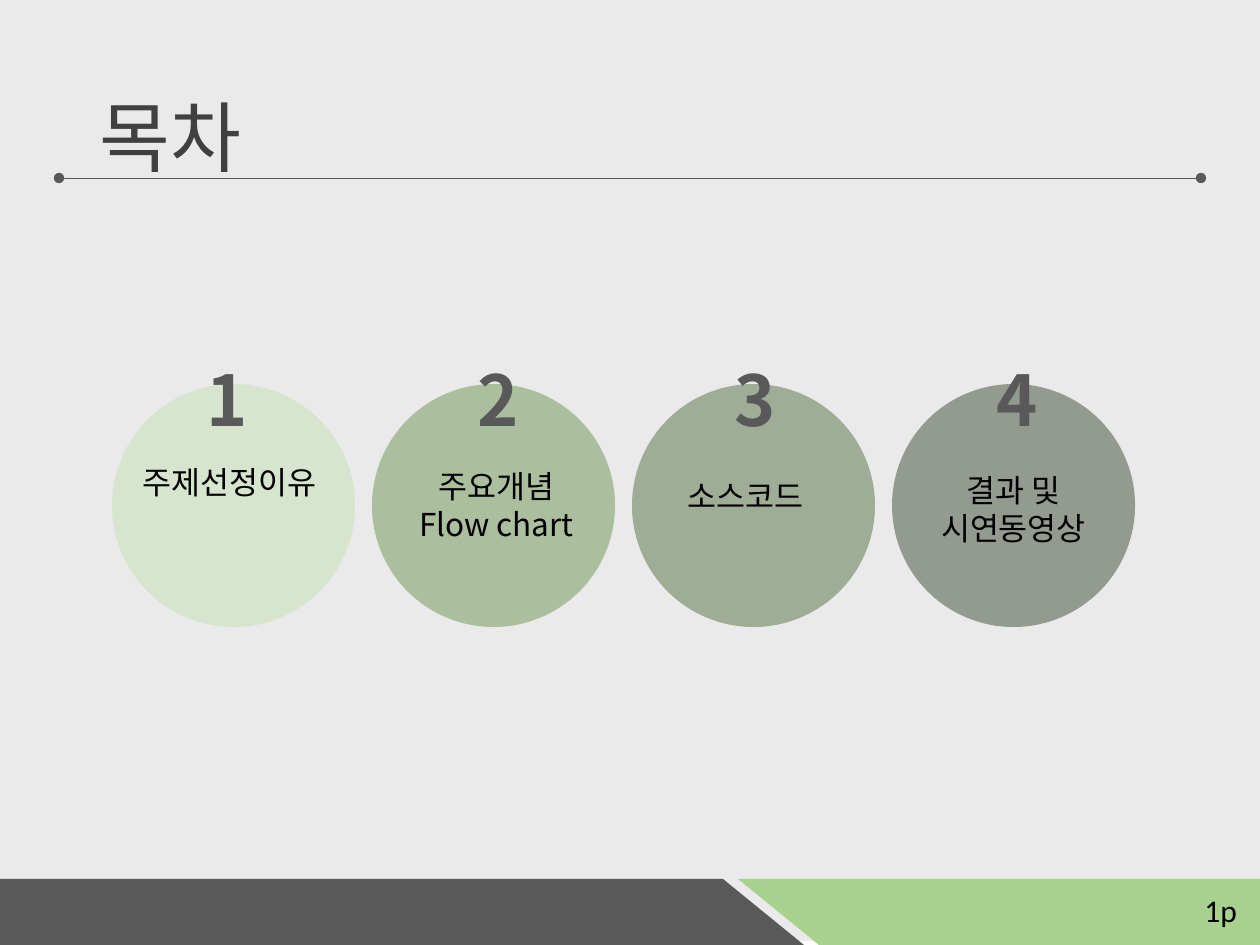
"""Build the contents slide: four numbered topic circles above a two-tone footer."""
from dataclasses import dataclass

import pptx
import pptx.dml.color
import pptx.enum.shapes
import pptx.enum.text
import pptx.oxml.ns
import pptx.util
from lxml import etree

TITLE = "목차"
PAGE = "1p"
TOPICS = [
    {"number": "1", "lines": ["주제선정이유"], "fill": "C5E0B4", "alpha": 51,
     "number_left": 194, "label": (120, 457, 219, 50)},
    {"number": "2", "lines": ["주요개념", "Flow chart"], "fill": "548235", "alpha": 42,
     "number_left": 465, "label": (368, 461, 257, 89)},
    {"number": "3", "lines": ["소스코드"], "fill": "385723", "alpha": 42,
     "number_left": 722, "label": (617, 471, 257, 50)},
    {"number": "4", "lines": ["결과 및", "시연동영상"], "fill": "1D2C12", "alpha": 42,
     "number_left": 984, "label": (885, 465, 257, 89)},
]
FOOTER = [
    ("595959", [(-10, 879), (723, 879), (804, 945), (-9, 945)]),
    ("A9D18E", [(1552, 945), (819, 945), (738, 879), (1551, 879)]),
]
CIRCLE_LEFT, CIRCLE_TOP, CIRCLE_SIZE, CIRCLE_PITCH = 112, 384, 243, 260
PX = 914400 / 126


@dataclass(frozen=True)
class Theme:
    backdrop: str = "EAEAEA"
    title: str = "404040"
    accent: str = "595959"
    text: str = "000000"
    korean: str = "Noto Sans CJK KR"
    latin: str = "Calibri"
    title_size: int = 44
    number_size: int = 40
    text_size: int = 18


THEME = Theme()


def emu(*lengths):
    return [pptx.util.Emu(round(length * PX)) for length in lengths]


def rgb(value):
    return pptx.dml.color.RGBColor.from_string(value)


def add_child(parent, tag, **attributes):
    return etree.SubElement(parent, pptx.oxml.ns.qn(tag), attributes)


def paint(shape, color, alpha=None):
    shape.shadow.inherit = False
    shape.fill.solid()
    shape.fill.fore_color.rgb = rgb(color)
    shape.line.fill.background()
    if alpha is not None:
        tint = shape.element.spPr.find(".//" + pptx.oxml.ns.qn("a:srgbClr"))
        add_child(tint, "a:alpha", val=str(alpha * 1000))


def write(frame, lines, size, color, font, bold=False, align="LEFT"):
    for index, line in enumerate(lines):
        paragraph = frame.add_paragraph() if index else frame.paragraphs[0]
        paragraph.alignment = getattr(pptx.enum.text.PP_ALIGN, align)
        run = paragraph.add_run()
        run.text = line
        run.font.size = pptx.util.Pt(size)
        run.font.bold = bold
        run.font.name = font
        run.font.color.rgb = rgb(color)
        add_child(run.font._element, "a:ea", typeface=font)


def add_text(shapes, box, lines, size, color, font, **style):
    frame = shapes.add_textbox(*emu(*box)).text_frame
    frame.word_wrap = True
    frame.auto_size = pptx.enum.text.MSO_AUTO_SIZE.SHAPE_TO_FIT_TEXT
    write(frame, lines, size, color, font, **style)


def add_title(slide):
    title = slide.shapes.title
    title.left, title.top, title.width, title.height = emu(87, 50, 1086, 183)
    title.text_frame.vertical_anchor = pptx.enum.text.MSO_ANCHOR.MIDDLE
    write(title.text_frame, [TITLE], THEME.title_size, THEME.title, THEME.korean)
    title.text_frame.paragraphs[0].line_spacing = 0.9
    backdrop = slide.shapes.add_shape(
        pptx.enum.shapes.MSO_SHAPE.RECTANGLE, *emu(0, -4, 1260, 945))
    paint(backdrop, THEME.backdrop)
    title.element.addprevious(backdrop.element)


def add_rule(shapes):
    rule = shapes.add_connector(
        pptx.enum.shapes.MSO_CONNECTOR.STRAIGHT, *emu(59, 178, 1201, 178))
    rule.line.color.rgb = rgb(THEME.accent)
    rule.line.width = pptx.util.Pt(0.5)
    for end in ("a:headEnd", "a:tailEnd"):
        add_child(rule.line._get_or_add_ln(), end, type="oval")
    add_child(rule.element.spPr, "a:effectLst")


def add_topic(shapes, index, topic):
    group = shapes.add_group_shape().shapes
    left = CIRCLE_LEFT + index * CIRCLE_PITCH
    circle = group.add_shape(
        pptx.enum.shapes.MSO_SHAPE.OVAL,
        *emu(left, CIRCLE_TOP, CIRCLE_SIZE, CIRCLE_SIZE))
    paint(circle, topic["fill"], topic["alpha"])
    add_text(group, (topic["number_left"], 350, 79, 97), [topic["number"]],
             THEME.number_size, THEME.accent, THEME.korean, bold=True)
    add_text(group, topic["label"], topic["lines"],
             THEME.text_size, THEME.text, THEME.korean, align="CENTER")


def add_footer(shapes):
    for color, corners in FOOTER:
        start, *others = [emu(*corner) for corner in corners]
        outline = shapes.build_freeform(*start)
        outline.add_line_segments(others, close=True)
        paint(outline.convert_to_shape(), color)
    add_text(shapes, (1192, 885, 68, 50), [PAGE],
             THEME.text_size, THEME.text, THEME.latin)


def main():
    deck = pptx.Presentation()
    deck.slide_width, deck.slide_height = emu(1260, 945)
    slide = deck.slides.add_slide(deck.slide_layouts[5])
    add_title(slide)
    add_rule(slide.shapes)
    for index, topic in enumerate(TOPICS):
        add_topic(slide.shapes, index, topic)
    add_footer(slide.shapes)
    deck.save("out.pptx")


if __name__ == "__main__":
    main()
